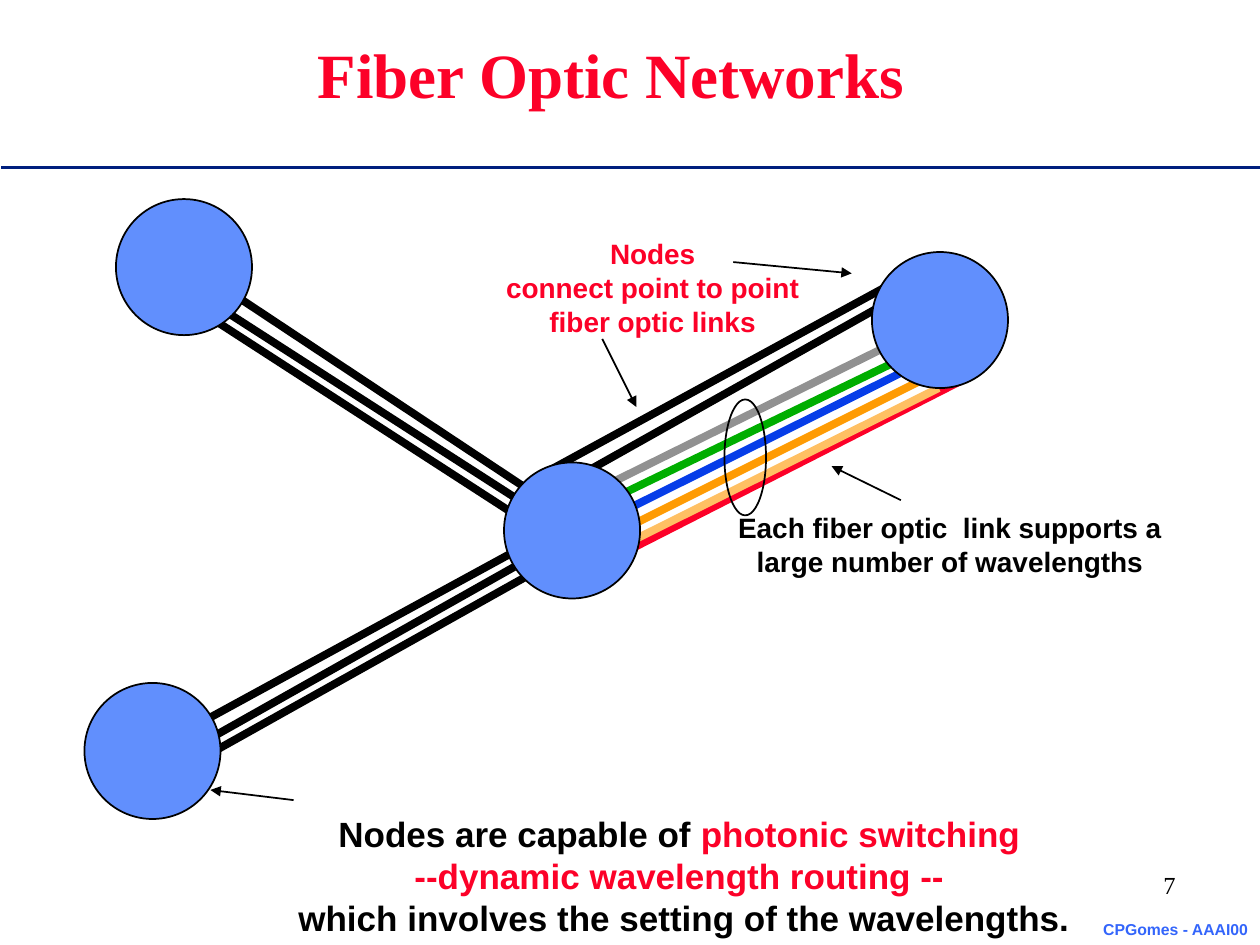
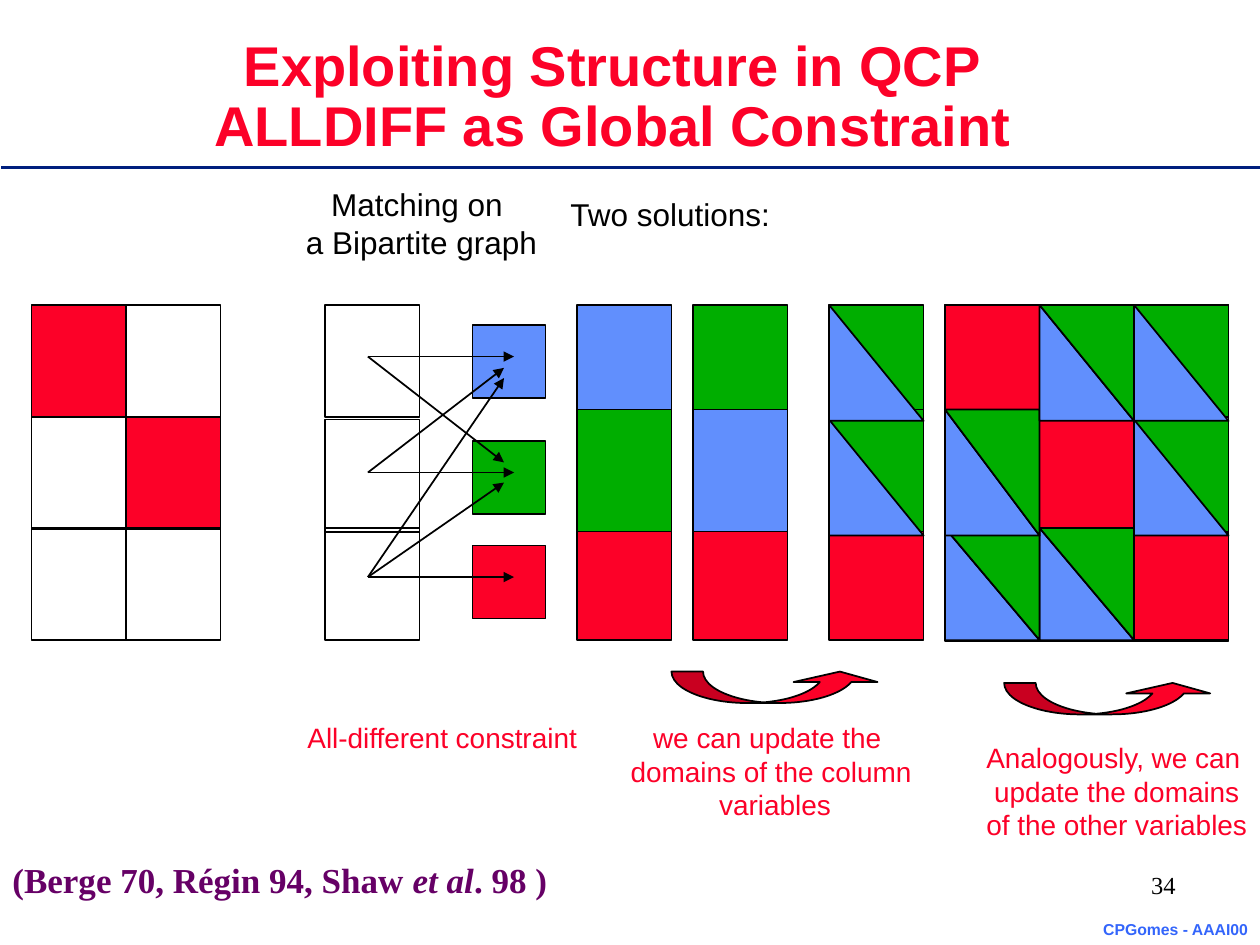
from lxml import etree
from pptx import Presentation
from pptx.dml.color import RGBColor
from pptx.enum import shapes as kinds, text as txt
from pptx.oxml.ns import qn
from pptx.util import Inches, Pt

RED = RGBColor(0xFC, 0x01, 0x28)
BLUE = RGBColor(0x61, 0x8F, 0xFD)
GREEN = RGBColor(0x00, 0xAE, 0x00)
BLACK = RGBColor(0, 0, 0)
WHITE = RGBColor(0xFF, 0xFF, 0xFF)
NAVY = RGBColor(0x00, 0x1F, 0x7E)
SKY = RGBColor(0x33, 0x65, 0xFB)
PLUM = RGBColor(0x66, 0x00, 0x66)
GRAY = RGBColor(0x91, 0x91, 0x91)
ROYAL = RGBColor(0x06, 0x3D, 0xE8)
AMBER = RGBColor(0xFE, 0x9B, 0x03)
PEACH = RGBColor(0xFF, 0xC0, 0x63)

SANS = "Arial"
SERIF = "Times New Roman"
TOP = txt.MSO_ANCHOR.TOP
MID = txt.MSO_ANCHOR.MIDDLE
LEFT = txt.PP_ALIGN.LEFT
CENTER = txt.PP_ALIGN.CENTER
RIGHT = txt.PP_ALIGN.RIGHT
FORM = kinds.MSO_SHAPE
NODE = 1.08
WIDE, HIGH = 0.75, 0.89
ROWS = (2.42, 3.31, 4.19)


def apply(item, values):
    for name, value in values.items():
        setattr(item, name, value)


def write(box, lines, size, color=BLACK, face=SANS, bold=False, align=CENTER,
          anchor=TOP, wrap=False, lead=None):
    frame = box.text_frame
    apply(frame, {"word_wrap": wrap, "vertical_anchor": anchor,
                  "auto_size": txt.MSO_AUTO_SIZE.NONE})
    for i, line in enumerate(lines):
        para = frame.add_paragraph() if i else frame.paragraphs[0]
        apply(para, {"alignment": align, "line_spacing": lead})
        for part in [(line, {})] if isinstance(line, str) else line:
            words, extra = part
            look = {"name": face, "size": Pt(size), "bold": bold,
                    "italic": False, "color": color} | extra
            tint = look.pop("color")
            run = para.add_run()
            run.text = words
            apply(run.font, look)
            run.font.color.rgb = tint


def label(slide, area, lines, size, **look):
    box = slide.shapes.add_textbox(*map(Inches, area))
    write(box, lines, size, **look)


def line(slide, start, end, color=BLACK, width=1, arrow=False):
    link = slide.shapes.add_connector(
        kinds.MSO_CONNECTOR.STRAIGHT, *map(Inches, (*start, *end)))
    link.line.color.rgb = color
    link.line.width = Pt(width)
    props = link._element.spPr
    if arrow:
        etree.SubElement(props.find(qn("a:ln")), qn("a:tailEnd"), type="triangle")
    etree.SubElement(props, qn("a:effectLst"))


def shape(slide, form, area, fill=None, turn=0):
    item = slide.shapes.add_shape(form, *map(Inches, area))
    item.shadow.inherit = False
    item.rotation = turn
    if fill is None:
        item.fill.background()
    else:
        item.fill.solid()
        item.fill.fore_color.rgb = fill
    item.line.color.rgb = BLACK
    item.line.width = Pt(1)
    return item


def cell(slide, x, y, fill=None, high=HIGH):
    shape(slide, FORM.RECTANGLE, (x, y, WIDE, high), fill)


def wedge(slide, x, y, high=0.92):
    shape(slide, FORM.RIGHT_TRIANGLE, (x, y, WIDE, high), BLUE)


def split(slide, x, y, high):
    wedge(slide, x, y, high)
    shape(slide, FORM.RIGHT_TRIANGLE, (x, y, WIDE, high), GREEN, 180)


def stack(slide, x, first, second):
    cell(slide, x, ROWS[0], first)
    cell(slide, x, ROWS[2], RED)
    cell(slide, x, 3.25, second, 0.97)


def swoop(slide, x, y):
    item = shape(slide, FORM.CURVED_UP_ARROW, (x, y, 1.67, 0.25), RED)
    for i, part in enumerate((4 / 3, 8 / 3, 1 / 3)):
        item.adjustments[i] = part


def start(deck, area, lines, size, page, **look):
    slide = deck.slides.add_slide(deck.slide_layouts[5])
    line(slide, (0.01, 1.33), (10, 1.33), NAVY, 2)
    label(slide, (8.65, 7.25, 1.36, 0.25), ["CPGomes - AAAI00"], 9,
          color=SKY, bold=True)
    label(slide, (7.17, 6.86, 2.26, 0.33), [page], 14, face=SERIF,
          align=RIGHT, anchor=MID, wrap=True)
    title = slide.shapes.title
    apply(title, dict(zip(("left", "top", "width", "height"), map(Inches, area))))
    write(title, lines, size, color=RED, bold=True, **look)
    return slide


def fiber(deck):
    slide = start(deck, (2.42, 0.23, 4.86, 0.7), ["Fiber Optic Networks"], 36,
                  "7", face=SERIF, anchor=MID)
    links = [
        ((4.17, 4.33), (1.42, 5.83), BLACK),
        ((4.08, 4.5), (1.42, 6), BLACK),
        ((4.17, 4.58), (1.33, 6.17), BLACK),
        ((4.47, 4.07), (1.86, 2.34), BLACK),
        ((4.29, 4.08), (1.71, 2.42), BLACK),
        ((4.25, 4.19), (1.53, 2.43), BLACK),
        ((7.08, 2.25), (4.33, 3.75), BLACK),
        ((7.17, 2.33), (4.5, 3.83), BLACK),
        ((4.57, 4.58), (7.75, 2.96), RED),
        ((4.36, 4.2), (7.11, 2.87), GREEN),
        ((4.46, 4.3), (7.33, 2.87), ROYAL),
        ((4.57, 4.39), (7.43, 2.96), AMBER),
        ((4.33, 4.09), (7.2, 2.67), GRAY),
        ((4.58, 4.51), (7.45, 3.08), PEACH),
    ]
    for begin, end, color in links:
        line(slide, begin, end, color, 4.5)
    shape(slide, FORM.OVAL, (5.75, 3.17, 0.33, 0.92))
    for x, y in ((0.92, 1.58), (0.67, 5.42), (4, 3.67), (6.92, 2)):
        shape(slide, FORM.OVAL, (x, y, NODE, NODE), BLUE)
    label(slide, (3.92, 1.83, 2.52, 0.9),
          ["Nodes", "connect point to point", "fiber optic links"], 16,
          color=RED, bold=True, anchor=MID)
    label(slide, (5.76, 4, 3.56, 0.64),
          ["Each fiber optic  link supports a", "large number of wavelengths"],
          16, bold=True, anchor=MID)
    hot = {"color": RED}
    label(slide, (1.67, 6.4, 7.52, 1.1),
          [[("Nodes are capable of ", {}), ("photonic switching ", hot)],
           [("--dynamic wavelength routing -- ", hot)],
           "which involves the setting of the wavelengths."],
          20, bold=True, anchor=MID, wrap=True)
    for begin, end in (((4.78, 2.69), (5.05, 3.23)), ((5.82, 2.08), (6.76, 2.17)),
                       ((7.15, 3.97), (6.6, 3.7)), ((2.33, 6.35), (1.67, 6.27))):
        line(slide, begin, end, arrow=True)


def square(slide):
    for col in range(2):
        for row, y in enumerate(ROWS):
            cell(slide, 0.25 + col * WIDE, y, RED if row == col else None)


def match(slide):
    label(slide, (2.33, 1.42, 2.03, 0.7), ["Matching on ", "a Bipartite graph"], 18)
    for y in (2.42, 3.33, 4.19):
        cell(slide, 2.58, y)
    for y, fill in ((2.58, BLUE), (3.5, GREEN), (4.33, RED)):
        shape(slide, FORM.RECTANGLE, (3.75, y, 0.58, 0.58), fill)
    for y in (2.83, 3.75, 4.58):
        line(slide, (2.92, y), (4.08, y), arrow=True)
    for y, end in ((2.83, 3.67), (3.75, 2.92), (4.58, 3.83), (4.58, 3)):
        line(slide, (2.92, y), (4, end), arrow=True)
    label(slide, (2.34, 5.67, 2.34, 0.37), ["All-different constraint"], 16, color=RED)


def solve(slide):
    label(slide, (4.42, 1.5, 1.8, 0.4), ["Two solutions:"], 18)
    stack(slide, 4.58, BLUE, GREEN)
    stack(slide, 5.5, GREEN, BLUE)
    stack(slide, 6.58, GREEN, GREEN)
    for y in (3.33, 2.42):
        wedge(slide, 6.58, y)
    swoop(slide, 5.33, 5.33)
    label(slide, (4.83, 5.67, 2.58, 0.9),
          ["we can update the ", "domains of the column", " variables"], 16,
          color=RED, wrap=True)


def update(slide):
    left, mid, right = (7.5 + i * WIDE for i in range(3))
    shape(slide, FORM.RECTANGLE, (left, 2.42, 3 * WIDE, 2.67), WHITE)
    for x, y, fill in ((right, 2.42, GREEN), (right, 4.19, RED), (right, 3.33, GREEN),
                       (left, 2.42, RED), (mid, 3.31, RED)):
        cell(slide, x, y, fill)
    for y in (3.33, 2.42):
        wedge(slide, right, y)
    for x, y, high in ((mid, 4.19, HIGH), (left, 4.19, HIGH),
                       (left, 3.25, 1), (mid, 2.42, 0.92)):
        split(slide, x, y, high)
    swoop(slide, 7.97, 5.42)
    label(slide, (7.73, 5.83, 2.27, 0.9),
          ["Analogously, we can", " update the domains", "of the other variables"],
          16, color=RED, align=LEFT)


def alldiff(deck):
    slide = start(deck, (1.6, 0.25, 6.53, 1.54),
                  ["Exploiting Structure in QCP", "ALLDIFF as Global Constraint"],
                  32, "34", lead=0.9)
    for part in (square, solve, update, match):
        part(slide)
    label(slide, (0, 6.83, 9.33, 0.37),
          [[("(Berge 70, Régin 94, Shaw ", {}), ("et al", {"italic": True}),
            (". 98 )", {})]],
          20, color=PLUM, face=SERIF, bold=True, align=LEFT, anchor=MID,
          wrap=True, lead=0.8)


def main():
    deck = Presentation()
    apply(deck, {"slide_width": Inches(10), "slide_height": Inches(7.5)})
    fiber(deck)
    alldiff(deck)
    deck.save("out.pptx")


if __name__ == "__main__":
    main()
